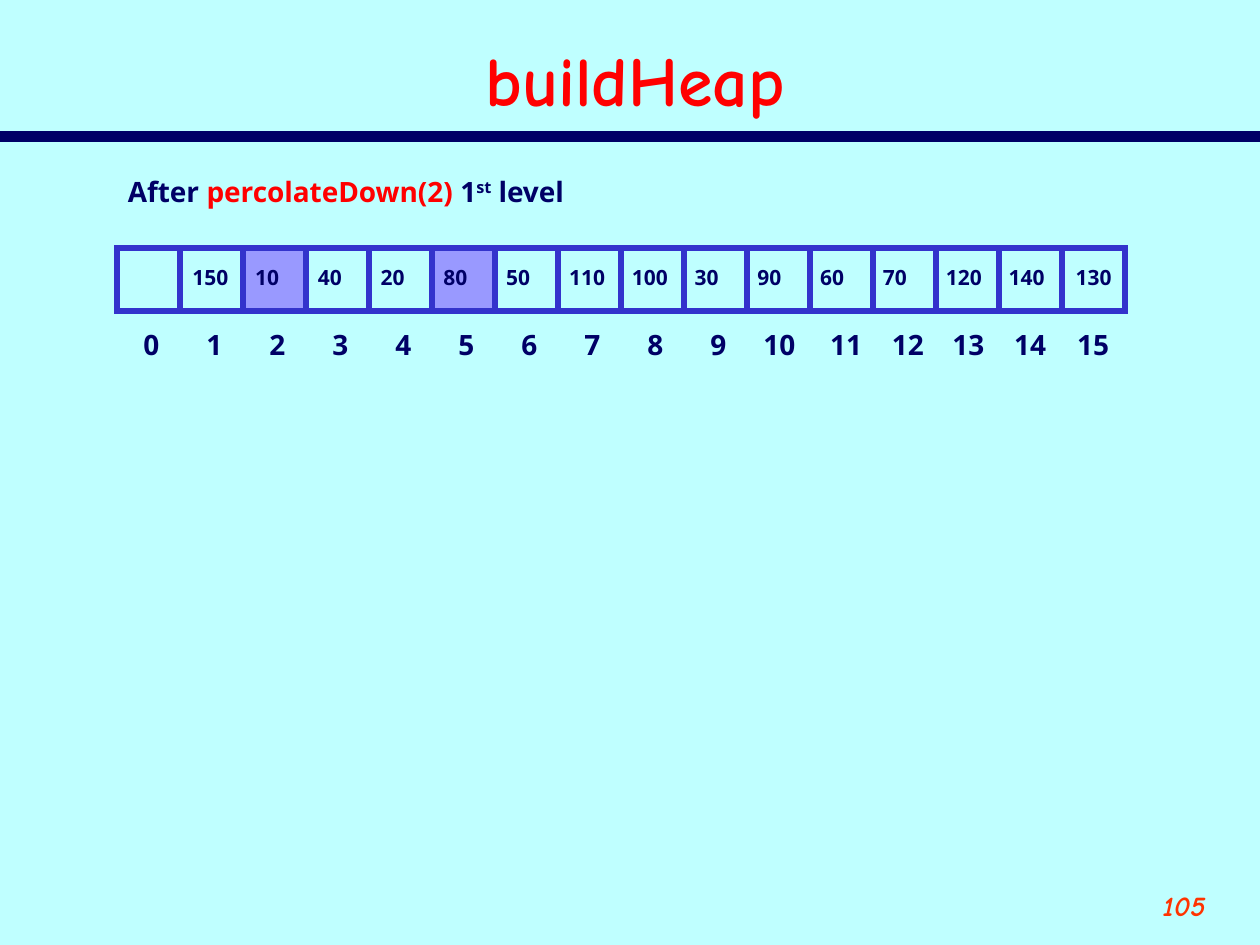
from dataclasses import dataclass
from typing import NamedTuple

from lxml.etree import SubElement
from pptx import Presentation
from pptx.dml.color import RGBColor as RGB
from pptx.enum.shapes import MSO_CONNECTOR as CONN, MSO_SHAPE as SHAPE
from pptx.enum.text import MSO_ANCHOR as ANCHOR, MSO_AUTO_SIZE as FIT, PP_ALIGN as ALIGN
from pptx.oxml.ns import qn
from pptx.util import Pt


@dataclass(frozen=True)
class Theme:
    bg: str = "BFFFFF"
    navy: str = "000066"
    red: str = "FF0000"
    orange: str = "FF3300"
    border: str = "3333CC"
    marked: str = "9999FF"
    display: str = "Comic Neue"
    body: str = "Noto Sans"
    title_size: float = 40
    text_size: float = 16
    value_size: float = 12


class Box(NamedTuple):
    left: float
    top: float
    width: float
    height: float


class Run(NamedTuple):
    text: str
    size: float
    color: str
    font: str
    italic: bool = False
    raised: bool = False


class Slot(NamedTuple):
    index: int
    value: str
    marked: bool


T = Theme()
ROW_LEFT, ROW_TOP, CELL = 67, 141.8, 36
VALUE_LEFT, VALUE_STEP, VALUE_TOP = 102.8, 35.88, 147.6
INDEX_TOP = 183.6
INDEX_WIDTHS = {1: 23.6, 2: 33.2}
VALUE_WIDTHS = {2: 28.4, 3: 35.4}
INDEX_INSETS = {10: 2.1, 11: 4.3, 12: 3.6, 13: 2.1, 14: 1.4, 15: 1.4}
VALUE_NUDGES = {15: 2.4}
VALUES = ["", "150", "10", "40", "20", "80", "50", "110",
          "100", "30", "90", "60", "70", "120", "140", "130"]
SLOTS = [Slot(i, v, i in (2, 5)) for i, v in enumerate(VALUES)]


def pts(box: Box) -> list:
    return [Pt(v) for v in box]


def add_runs(p, runs: list) -> None:
    for run in runs:
        r = p.add_run()
        r.text = run.text
        r.font.name = run.font
        r.font.size = Pt(run.size)
        r.font.bold = True
        r.font.italic = run.italic
        r.font.color.rgb = RGB.from_string(run.color)
        if run.raised:
            r._r.get_or_add_rPr().set("baseline", "30000")


def add_text(s, box: Box, runs: list, align=ALIGN.LEFT, wrap: bool = False) -> None:
    tf = s.shapes.add_textbox(*pts(box)).text_frame
    tf.word_wrap = wrap
    tf.auto_size = FIT.NONE if wrap else FIT.SHAPE_TO_FIT_TEXT
    p = tf.paragraphs[0]
    p.alignment = align
    add_runs(p, runs)


def add_title(s, box: Box, run: Run) -> None:
    sp = s.shapes.title
    sp.left, sp.top, sp.width, sp.height = pts(box)
    tf = sp.text_frame
    tf.auto_size = FIT.NONE
    tf.vertical_anchor = ANCHOR.MIDDLE
    p = tf.paragraphs[0]
    p.alignment = ALIGN.CENTER
    add_runs(p, [run])


def add_rule(s, y: float, width: float) -> None:
    sp = s.shapes.add_connector(CONN.STRAIGHT, 0, Pt(y), Pt(width), Pt(y))
    sp.line.color.rgb = RGB.from_string(T.navy)
    sp.line.width = Pt(6)
    SubElement(sp._element.spPr, qn("a:effectLst"))


def add_cell(s, slot: Slot) -> None:
    box = Box(ROW_LEFT + CELL * slot.index, ROW_TOP, CELL, CELL)
    sp = s.shapes.add_shape(SHAPE.RECTANGLE, *pts(box))
    sp.shadow.inherit = False
    sp.line.color.rgb = RGB.from_string(T.border)
    sp.line.width = Pt(3.5)
    SubElement(sp._element.spPr.find(qn("a:ln")), qn("a:miter"), lim="800000")
    if slot.marked:
        sp.fill.solid()
        sp.fill.fore_color.rgb = RGB.from_string(T.marked)
    else:
        sp.fill.background()


def add_index(s, slot: Slot) -> None:
    label = str(slot.index)
    left = ROW_LEFT + CELL * slot.index + INDEX_INSETS.get(slot.index, 7.9)
    add_text(s, Box(left, INDEX_TOP, INDEX_WIDTHS[len(label)], 26.6),
             [Run(label, T.text_size, T.navy, T.body)])


def add_value(s, slot: Slot) -> None:
    left = VALUE_LEFT + VALUE_STEP * (slot.index - 1) + VALUE_NUDGES.get(slot.index, 0)
    add_text(s, Box(left, VALUE_TOP, VALUE_WIDTHS[len(slot.value)], 21.6),
             [Run(slot.value, T.value_size, T.navy, T.body)])


def main() -> None:
    prs = Presentation()
    prs.slide_width, prs.slide_height = Pt(720), Pt(540)
    s = prs.slides.add_slide(prs.slide_layouts[5])
    s.background.fill.solid()
    s.background.fill.fore_color.rgb = RGB.from_string(T.bg)

    add_rule(s, 78, 720)
    add_text(s, Box(624, 504, 72, 36),
             [Run("105", T.text_size, T.orange, T.display, italic=True)],
             ALIGN.RIGHT, wrap=True)
    add_title(s, Box(30, 18, 666, 54), Run("buildHeap", T.title_size, T.red, T.display))
    add_text(s, Box(66, 96, 264.2, 26.6), [
        Run("After ", T.text_size, T.navy, T.body),
        Run("percolateDown(2) ", T.text_size, T.red, T.body),
        Run("1", T.text_size, T.navy, T.body),
        Run("st", T.text_size, T.navy, T.body, raised=True),
        Run(" level", T.text_size, T.navy, T.body),
    ])

    for slot in SLOTS:
        add_cell(s, slot)
    for slot in SLOTS:
        add_index(s, slot)
        if slot.value:
            add_value(s, slot)

    prs.save("out.pptx")


if __name__ == "__main__":
    main()
